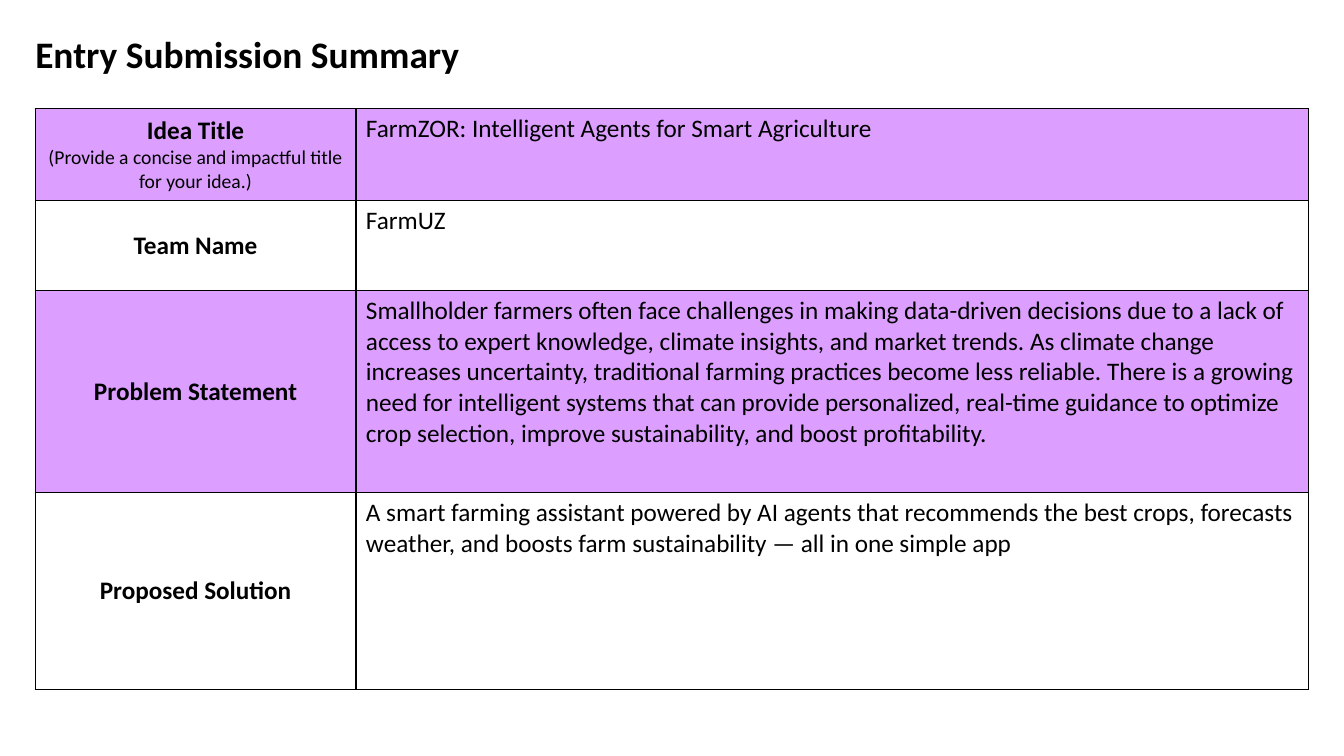
from lxml import etree
from pptx import Presentation
from pptx import util as u
from pptx.dml.color import RGBColor
from pptx.enum import text
from pptx.oxml import ns

BLACK = RGBColor(0x00, 0x00, 0x00)
WHITE = RGBColor(0xFF, 0xFF, 0xFF)
LILAC = RGBColor(0xDD, 0x9F, 0xFF)
FONT = "Calibri"

COLUMN_WIDTHS = (3.18, 9.45)
# Label, hint under the label, entry, row height
ENTRIES = (
    ("Idea Title", "(Provide a concise and impactful title for your idea.)",
     "FarmZOR: Intelligent Agents for Smart Agriculture", 0.91),
    ("Team Name", "", "FarmUZ", 0.89),
    ("Problem Statement", "",
     "Smallholder farmers often face challenges in making data-driven decisions due to a lack of "
     "access to expert knowledge, climate insights, and market trends. As climate change increases "
     "uncertainty, traditional farming practices become less reliable. There is a growing need for "
     "intelligent systems that can provide personalized, real-time guidance to optimize crop "
     "selection, improve sustainability, and boost profitability.", 2.01),
    ("Proposed Solution", "",
     "A smart farming assistant powered by AI agents that recommends the best crops, forecasts "
     "weather, and boosts farm sustainability — all in one simple app", 1.95),
)


def add_run(paragraph, wording, size, bold=False):
    run = paragraph.add_run()
    run.text = wording
    run.font.name = FONT
    run.font.size = u.Pt(size)
    run.font.bold = bold
    run.font.color.rgb = BLACK


def add_borders(cell, color, width):
    properties = cell._tc.get_or_add_tcPr()
    for side in ("lnL", "lnR", "lnT", "lnB"):
        line = etree.SubElement(properties, ns.qn(f"a:{side}"), w=str(u.Pt(width)))
        fill = etree.SubElement(line, ns.qn("a:solidFill"))
        etree.SubElement(fill, ns.qn("a:srgbClr"), val=str(color))


def place_title(slide, left, top, width, height):
    title = slide.shapes.title
    title.left, title.top = u.Inches(left), u.Inches(top)
    title.width, title.height = u.Inches(width), u.Inches(height)
    frame = title.text_frame
    frame.word_wrap = True
    frame.auto_size = text.MSO_AUTO_SIZE.NONE
    frame.vertical_anchor = text.MSO_ANCHOR.TOP
    frame.margin_left = frame.margin_top = frame.margin_bottom = 0
    frame.margin_right = u.Inches(0.13)
    paragraph = frame.paragraphs[0]
    paragraph.alignment = text.PP_ALIGN.LEFT
    paragraph.line_spacing = 0.8
    add_run(paragraph, "Entry Submission Summary", 26.7, bold=True)


def fill_label(cell, label, hint):
    cell.vertical_anchor = text.MSO_ANCHOR.MIDDLE
    paragraph = cell.text_frame.paragraphs[0]
    paragraph.alignment = text.PP_ALIGN.CENTER
    add_run(paragraph, label, 18, bold=True)
    if hint:
        paragraph.add_line_break()
        add_run(paragraph, hint, 14)


def add_summary_table(slide, left, top):
    width = sum(COLUMN_WIDTHS)
    height = sum(entry[-1] for entry in ENTRIES)
    table = slide.shapes.add_table(
        len(ENTRIES), len(COLUMN_WIDTHS),
        u.Inches(left), u.Inches(top), u.Inches(width), u.Inches(height)).table
    table.first_row = table.horz_banding = False
    for column, column_width in zip(table.columns, COLUMN_WIDTHS):
        column.width = u.Inches(column_width)

    for index, (label, hint, entry, row_height) in enumerate(ENTRIES):
        row = table.rows[index]
        row.height = u.Inches(row_height)
        label_cell, entry_cell = row.cells
        for cell in (label_cell, entry_cell):
            add_borders(cell, BLACK, 1)
            cell.fill.solid()
            cell.fill.fore_color.rgb = WHITE if index % 2 else LILAC
        fill_label(label_cell, label, hint)
        add_run(entry_cell.text_frame.paragraphs[0], entry, 18)


def main():
    presentation = Presentation()
    presentation.slide_width = u.Inches(13.33)
    presentation.slide_height = u.Inches(7.5)
    slide = presentation.slides.add_slide(presentation.slide_layouts.get_by_name("Title Only"))
    place_title(slide, 0.35, 0.39, 12.29, 0.93)
    add_summary_table(slide, 0.35, 1.08)
    presentation.save("out.pptx")


if __name__ == "__main__":
    main()
